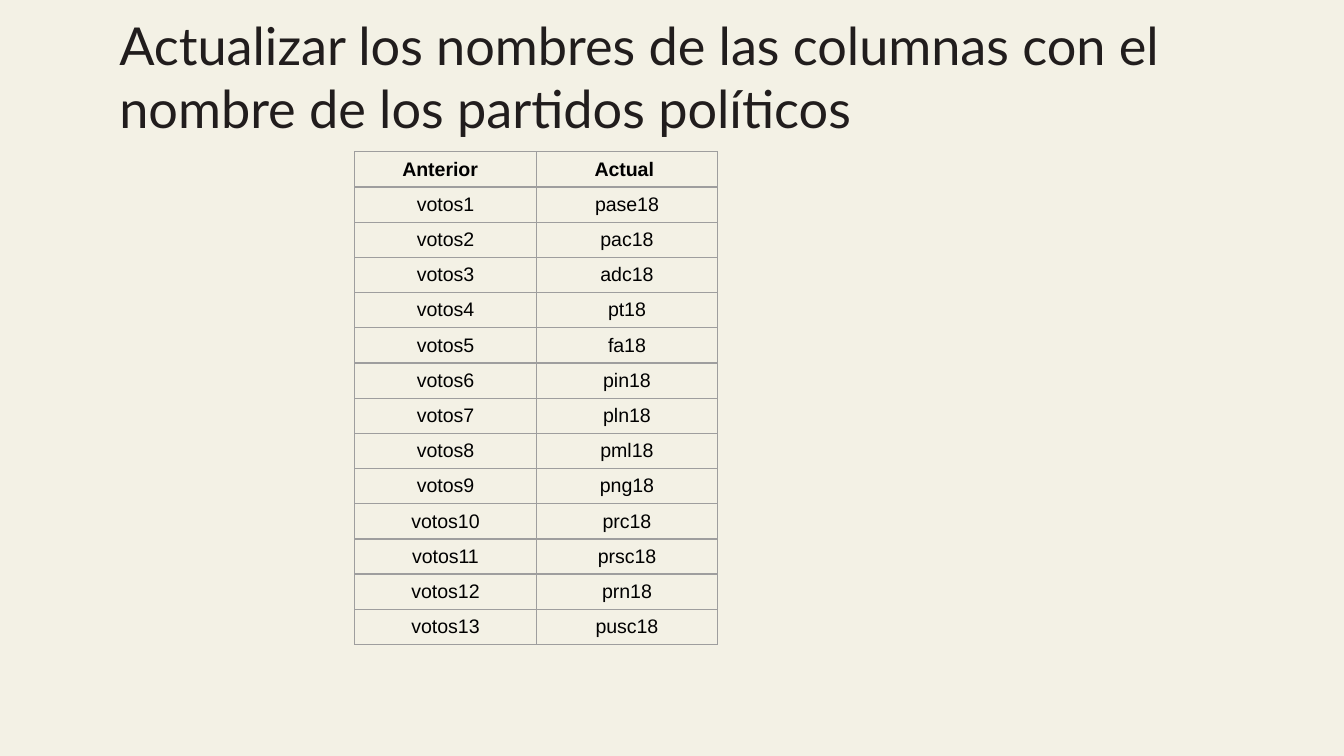
from lxml import etree
from pptx import Presentation
from pptx.dml.color import RGBColor
from pptx.enum.text import MSO_ANCHOR, PP_ALIGN
from pptx.oxml.ns import qn
from pptx.util import Inches, Pt

CENTER = PP_ALIGN.CENTER
TOP = MSO_ANCHOR.TOP
MIDDLE = MSO_ANCHOR.MIDDLE

CREAM = RGBColor(0xF3, 0xF1, 0xE5)
INK = RGBColor(0x21, 0x1D, 0x1D)
BLACK = RGBColor(0x00, 0x00, 0x00)
GREY = RGBColor(0x9E, 0x9E, 0x9E)

# Content
TITLE = ("Actualizar los nombres de las columnas con el "
         "nombre de los partidos políticos")
HEADER = ("Anterior", "Actual")
PARTIES = ["pase18", "pac18", "adc18", "pt18", "fa18", "pin18", "pln18",
           "pml18", "png18", "prc18", "prsc18", "prn18", "pusc18"]
ROWS = [HEADER] + [(f"votos{number}", party)
                   for number, party in enumerate(PARTIES, 1)]

# Layout in inches
PAGE_WIDTH = 10
PAGE_HEIGHT = PAGE_WIDTH * 9 / 16
TABLE_LEFT, TABLE_TOP = 2.64, 1.13
COLUMN_WIDTH, TABLE_HEIGHT = 1.35, 3.67
SIDE_MARGIN = 0.1
HEADER_SHIFTS = (0.08, 0.04)  # extra right margin of the header cells


def add_span(para, text, font, size, color, bold=False):
    span = para.add_run()
    span.text = text
    span.font.name = font
    span.font.size = Pt(size)
    span.font.bold = bold
    span.font.color.rgb = color


def add_borders(cell):
    """Draw the four cell borders; they must precede the cell fill."""
    properties = cell._tc.get_or_add_tcPr()
    for index, side in enumerate(("a:lnL", "a:lnR", "a:lnT", "a:lnB")):
        line = etree.Element(qn(side), w=str(Pt(0.75)))
        fill = etree.SubElement(line, qn("a:solidFill"))
        etree.SubElement(fill, qn("a:srgbClr"), val=str(GREY))
        properties.insert(index, line)


deck = Presentation()
deck.slide_width, deck.slide_height = Inches(PAGE_WIDTH), Inches(PAGE_HEIGHT)
page = deck.slides.add_slide(deck.slide_layouts[6])
page.background.fill.solid()
page.background.fill.fore_color.rgb = CREAM

# Title
box = page.shapes.add_textbox(Inches(0.79), 0, Inches(8.43), Inches(0.63))
frame = box.text_frame
frame.word_wrap = True
frame.vertical_anchor = TOP
frame.margin_left = frame.margin_right = Inches(0.1)
frame.margin_top = frame.margin_bottom = Inches(0.1)
add_span(frame.paragraphs[0], TITLE, "Lato", 28, INK)

# Table of old and new column names
table = page.shapes.add_table(
    len(ROWS), len(HEADER), Inches(TABLE_LEFT), Inches(TABLE_TOP),
    Inches(COLUMN_WIDTH * len(HEADER)), Inches(TABLE_HEIGHT)).table
table.first_row = table.horz_banding = False

for row_index, names in enumerate(ROWS):
    is_header = row_index == 0
    for column_index, name in enumerate(names):
        cell = table.cell(row_index, column_index)
        cell.fill.background()
        add_borders(cell)
        cell.vertical_anchor = MIDDLE
        cell.margin_top = cell.margin_bottom = Inches(0.04)
        shift = HEADER_SHIFTS[column_index] if is_header else 0
        cell.margin_left = Inches(SIDE_MARGIN)
        cell.margin_right = Inches(SIDE_MARGIN + shift)
        para = cell.text_frame.paragraphs[0]
        para.alignment = CENTER
        add_span(para, name, "Arial", 10.5, BLACK, bold=is_header)

deck.save("out.pptx")
